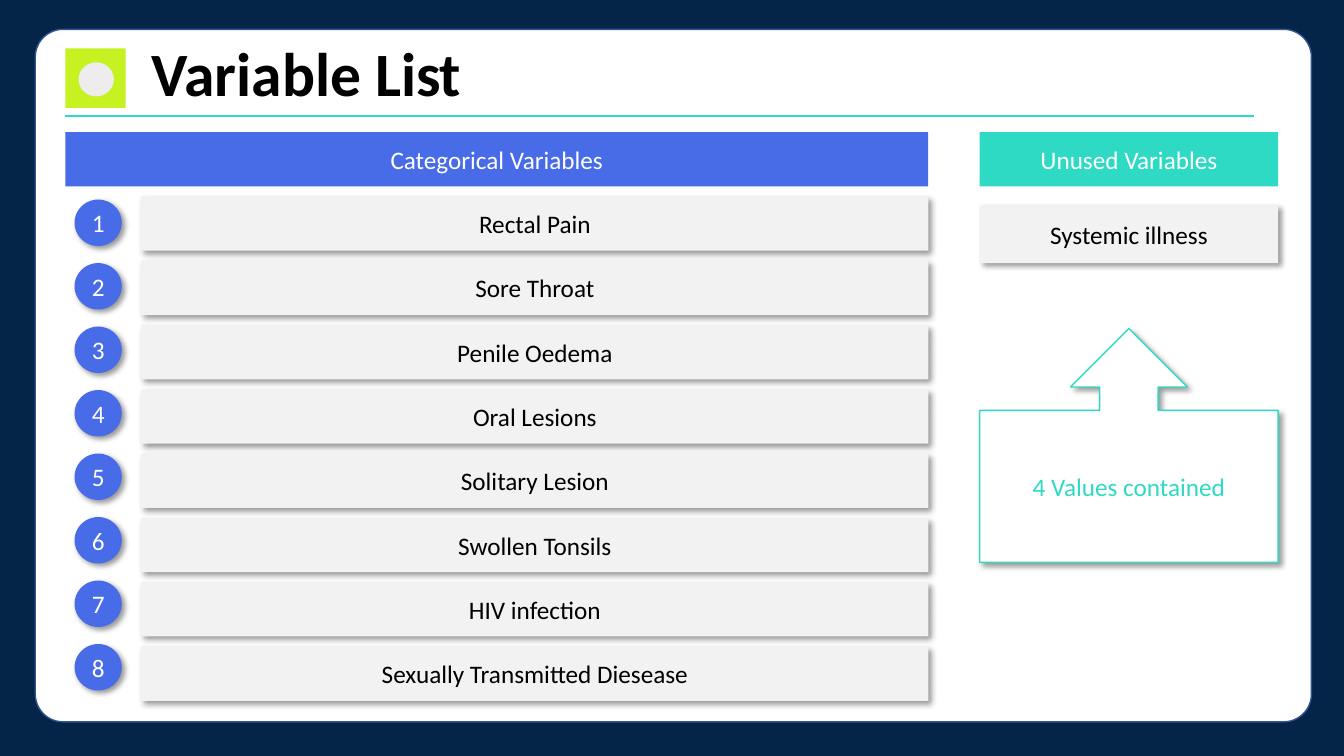
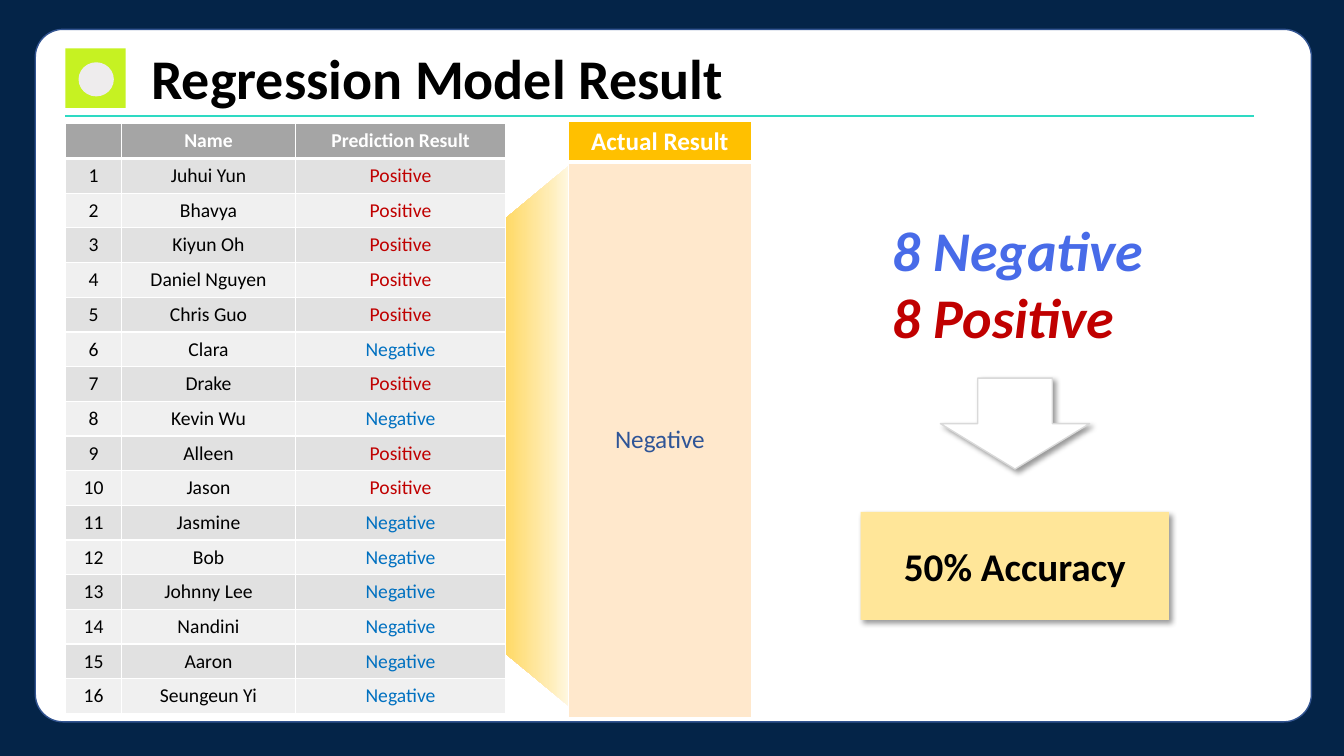
from lxml import etree
from pptx import Presentation
from pptx.dml.color import RGBColor
from pptx.enum import shapes as es, text as et
from pptx.oxml.ns import qn
from pptx.util import Cm, Pt

# Content
SIGNS = ["Rectal Pain", "Sore Throat", "Penile Oedema", "Oral Lesions",
         "Solitary Lesion", "Swollen Tonsils", "HIV infection",
         "Sexually Transmitted Diesease"]
HEAD = ["", "Name", "Prediction Result"]
P, N = "Positive", "Negative"
CASES = [("Juhui Yun", P), ("Bhavya", P), ("Kiyun Oh", P),
         ("Daniel Nguyen", P), ("Chris Guo", P), ("Clara", N), ("Drake", P),
         ("Kevin Wu", N), ("Alleen", P), ("Jason", P), ("Jasmine", N),
         ("Bob", N), ("Johnny Lee", N), ("Nandini", N), ("Aaron", N),
         ("Seungeun Yi", N)]

# Shared style
FONT = "Calibri"
INK = dict(navy="042448", rim="325491", teal="2EDAC3", lime="C6F222",
           dot="EEECED", blue="486BE8", pale="F2F2F2", white="FFFFFF",
           black="000000", red="C00000", sky="0070C0", steel="2F5597",
           gray="A5A5A5", odd="E1E1E1", even="F0F0F0", edge="D9D9D9",
           gold="FFC000", peach="FFE8CC", sand="FFE699")
FADE = [(0, "FFFFFF"), (45, "FFECB3"), (100, "FFD966")]
HUE = {P: "red", N: "sky"}
KIND = es.MSO_SHAPE
MID = et.MSO_ANCHOR.MIDDLE
LEFT, MAIN, SIDE, WIDE = 1.65, 21.74, 24.69, 7.52


def rgb(name):
    return RGBColor.from_string(INK[name])


def sub(node, tag, **attrs):
    return etree.SubElement(node, qn(tag), attrs)


def pen(par, size, ink, bold=False, slant=False, align="CENTER"):
    par.alignment = getattr(et.PP_ALIGN, align)
    font = par.font
    font.name, font.size, font.bold, font.italic = FONT, Pt(size), bold, slant
    font.color.rgb = rgb(ink)


def shade(shape):
    fx = shape.element.spPr.find(qn("a:effectLst"))
    cast = sub(fx, "a:outerShdw", blurRad=str(Pt(4)), dist=str(Pt(3)),
               dir="2700000", algn="tl", rotWithShape="0")
    tint = sub(cast, "a:srgbClr", val=INK["black"])
    sub(tint, "a:alpha", val="40000")


def add(slide, kind, box, fill=None, line=None, words="", size=18,
        ink="black", bold=False, cast=False):
    shape = slide.shapes.add_shape(kind, *map(Cm, box))
    shape.shadow.inherit = False
    if fill:
        shape.fill.solid()
        shape.fill.fore_color.rgb = rgb(fill)
    if line:
        shape.line.color.rgb = rgb(line)
        shape.line.width = Pt(1)
    else:
        shape.line.fill.background()
    if cast:
        shade(shape)
    if words:
        frame = shape.text_frame
        frame.text, frame.vertical_anchor = words, MID
        pen(frame.paragraphs[0], size, ink, bold)
    return shape


def rule(slide, x1, x2, y):
    line = slide.shapes.add_connector(es.MSO_CONNECTOR.STRAIGHT,
                                      Cm(x1), Cm(y), Cm(x2), Cm(y))
    line.line.color.rgb, line.line.width = rgb("teal"), Pt(1.75)
    sub(line.element.spPr, "a:effectLst")
    return line


def frame(layout, slide):
    """Draw the panel, rule and badge, then hand them to the layout."""
    layout.background.fill.solid()
    layout.background.fill.fore_color.rgb = rgb("navy")
    panel = add(slide, KIND.ROUNDED_RECTANGLE, (0.89, 0.74, 32.16, 17.45),
                "white", "rim")
    panel.adjustments[0] = 0.04
    parts = [panel, rule(slide, LEFT, 31.6, 2.92),
             add(slide, KIND.RECTANGLE, (LEFT, 1.22, 1.52, 1.5), "lime"),
             add(slide, KIND.OVAL, (1.98, 1.57, 0.89, 0.86), "dot")]
    for spot, part in enumerate(parts, 2):
        layout.shapes.element.insert(spot, part.element)


def title(slide, words, size, gap):
    head = slide.shapes.title
    head.left, head.top, head.width, head.height = map(
        Cm, (3.56, 1.02, MAIN, 1.83))
    body = head.text_frame
    body.text, body.vertical_anchor = words, MID
    body.auto_size = et.MSO_AUTO_SIZE.NONE
    par = body.paragraphs[0]
    par.line_spacing = gap
    pen(par, size, "black", True, align="LEFT")


def cell(box, words, size, ink, fill, bold=False, top=1, base=1):
    box.text, box.vertical_anchor = words, MID
    box.margin_top = box.margin_bottom = 0
    pen(box.text_frame.paragraphs[0], size, ink, bold)
    props = box._tc.get_or_add_tcPr()
    for side, width in zip("LRTB", (1, 1, top, base)):
        edge = sub(props, "a:ln" + side, w=str(Pt(width)))
        sub(sub(edge, "a:solidFill"), "a:srgbClr", val=INK["white"])
    box.fill.solid()
    box.fill.fore_color.rgb = rgb(fill)


def grid(slide, x, y, cols, rows):
    table = slide.shapes.add_table(len(rows), len(cols), Cm(x), Cm(y),
                                   Cm(sum(cols)), Cm(sum(rows))).table
    for col, width in zip(table.columns, cols):
        col.width = Cm(width)
    for row, height in zip(table.rows, rows):
        row.height = Cm(height)
    return table


def variables(slide):
    title(slide, "Variable List", 44, 0.9)
    for x, width, fill, words in (
            (LEFT, MAIN, "blue", "Categorical Variables"),
            (SIDE, WIDE, "teal", "Unused Variables")):
        add(slide, KIND.RECTANGLE, (x, 3.33, width, 1.37), fill,
            words=words, ink="white")

    # Numbered list
    for i, sign in enumerate(SIGNS):
        add(slide, KIND.RECTANGLE, (3.56, 4.95 + 1.62 * i, 19.84, 1.37),
            "pale", words=sign, cast=True)
        add(slide, KIND.OVAL, (1.88, 5.03 + 1.6 * i, 1.19, 1.17), "blue",
            words=str(i + 1), ink="white", cast=True)

    # Unused column
    add(slide, KIND.RECTANGLE, (SIDE, 5.18, WIDE, 1.45), "pale",
        words="Systemic illness", cast=True)
    add(slide, KIND.UP_ARROW_CALLOUT, (SIDE, 8.28, WIDE, 5.89), "white",
        "teal", "4 Values contained", ink="teal", cast=True)


def results(slide):
    title(slide, "Regression Model Result", 40, 1)

    # Fading link between the tables
    link = add(slide, KIND.TRAPEZOID, (6.63, 10.03, 14.15, 1.91))
    link.rotation, link.adjustments[0] = 270, 0.83
    link.fill.gradient()
    link.fill.gradient_angle = 90
    stops = link.element.spPr.find(qn("a:gradFill")).find(qn("a:gsLst"))
    for stop in list(stops):
        stops.remove(stop)
    for pos, tint in FADE:
        sub(sub(stops, "a:gs", pos=str(pos * 1000)), "a:srgbClr", val=tint)

    # Predictions
    count = len(CASES) + 1
    table = grid(slide, LEFT, 3.12, (1.42, 4.37, 5.31),
                 [14.86 / count] * count)
    for c, words in enumerate(HEAD):
        cell(table.cell(0, c), words, 14, "white", "gray", True, base=3)
    for r, (name, call) in enumerate(CASES, 1):
        fill = "odd" if r % 2 else "even"
        for c, words in enumerate((str(r), name, call)):
            cell(table.cell(r, c), words, 14, HUE.get(words, "black"), fill,
                 top=3 if r == 1 else 1)

    # Actual outcome
    table = grid(slide, 14.33, 3.07, [4.6], [1.02, 14])
    cell(table.cell(0, 0), "Actual Result", 18, "white", "gold", True, base=3)
    cell(table.cell(1, 0), N, 18, "steel", "peach", top=3)

    # Score
    box = slide.shapes.add_textbox(*map(Cm, (22.25, 5.31, 8.66, 3.68)))
    body = box.text_frame
    body.word_wrap = True
    body.text = f"8 {N}\n8 {P}"
    for par, ink in zip(body.paragraphs, ("blue", "red")):
        pen(par, 40, ink, True, True, "LEFT")
    add(slide, KIND.DOWN_ARROW, (23.7, 9.53, 3.76, 2.29), "white", "edge",
        cast=True)
    add(slide, KIND.RECTANGLE, (21.69, 12.9, 7.77, 2.72), "sand",
        words="50% Accuracy", size=28, bold=True, cast=True)


def main():
    deck = Presentation()
    deck.slide_width, deck.slide_height = Cm(33.87), Cm(19.05)
    layout = deck.slide_layouts[5]
    first, second = (deck.slides.add_slide(layout) for _ in range(2))
    frame(layout, first)
    variables(first)
    results(second)
    deck.save("out.pptx")


if __name__ == "__main__":
    main()
